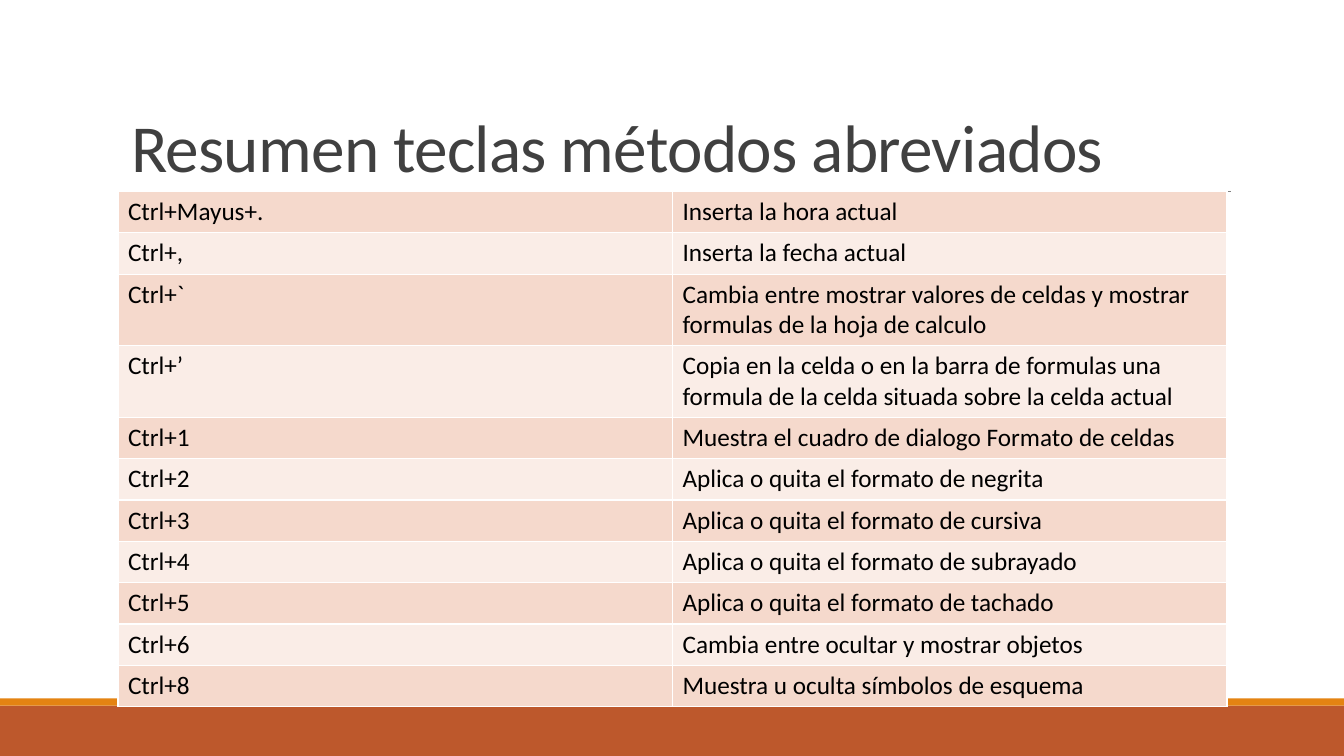
import dataclasses

import pptx
import pptx.dml.color
import pptx.enum.shapes
import pptx.enum.text
import pptx.oxml
import pptx.oxml.ns
import pptx.slide
import pptx.table
import pptx.util
from pptx.util import Inches

COLORS = {
    "footer": "BD582C",
    "accent": "E48312",
    "rule": "808080",
    "title": "404040",
    "text": "000000",
    "odd_row": "F5D9CC",
    "even_row": "FAEDE7",
    "border": "FFFFFF",
}
FONT = "Calibri"
SLIDE_WIDTH = 13.33
ROW_HEIGHT = 0.41
COLUMN_WIDTH = 5.5


@dataclasses.dataclass
class Band:
    top: float
    height: float
    color: str


@dataclasses.dataclass
class Shortcut:
    keys: str
    action: str


BANDS = [Band(7, 0.5, "footer"), Band(6.93, 0.07, "accent")]

SHORTCUTS = [
    Shortcut("Ctrl+Mayus+.", "Inserta la hora actual"),
    Shortcut("Ctrl+,", "Inserta la fecha actual"),
    Shortcut("Ctrl+`", "Cambia entre mostrar valores de celdas y mostrar formulas de la hoja de calculo"),
    Shortcut("Ctrl+’", "Copia en la celda o en la barra de formulas una formula de la celda situada sobre la celda actual"),
    Shortcut("Ctrl+1", "Muestra el cuadro de dialogo Formato de celdas"),
    Shortcut("Ctrl+2", "Aplica o quita el formato de negrita"),
    Shortcut("Ctrl+3", "Aplica o quita el formato de cursiva"),
    Shortcut("Ctrl+4", "Aplica o quita el formato de subrayado"),
    Shortcut("Ctrl+5", "Aplica o quita el formato de tachado"),
    Shortcut("Ctrl+6", "Cambia entre ocultar y mostrar objetos"),
    Shortcut("Ctrl+8", "Muestra u oculta símbolos de esquema"),
]


def rgb(name: str) -> pptx.dml.color.RGBColor:
    return pptx.dml.color.RGBColor.from_string(COLORS[name])


def add_band(slide: pptx.slide.Slide, band: Band) -> None:
    shape = slide.shapes.add_shape(
        pptx.enum.shapes.MSO_SHAPE.RECTANGLE,
        Inches(0), Inches(band.top), Inches(SLIDE_WIDTH), Inches(band.height),
    )
    shape.shadow.inherit = False
    shape.fill.solid()
    shape.fill.fore_color.rgb = rgb(band.color)
    shape.line.fill.background()


def add_title_rule(slide: pptx.slide.Slide) -> None:
    rule = slide.shapes.add_connector(
        pptx.enum.shapes.MSO_CONNECTOR.STRAIGHT,
        Inches(1.31), Inches(1.9), Inches(12.21), Inches(1.9),
    )
    rule.line.color.rgb = rgb("rule")
    rule.line.width = pptx.util.Pt(0.5)
    pptx.oxml.ns.qn("a:effectLst")
    rule._element.spPr.append(
        pptx.oxml.parse_xml(f"<a:effectLst {pptx.oxml.ns.nsdecls('a')}/>")
    )


def format_title(slide: pptx.slide.Slide, text: str) -> None:
    title = slide.shapes.title
    title.left, title.top = Inches(1.2), Inches(0.31)
    title.width, title.height = Inches(11), Inches(1.59)
    frame = title.text_frame
    frame.text = text
    frame.word_wrap = True
    frame.auto_size = pptx.enum.text.MSO_AUTO_SIZE.NONE
    frame.vertical_anchor = pptx.enum.text.MSO_ANCHOR.BOTTOM
    paragraph = frame.paragraphs[0]
    paragraph.alignment = pptx.enum.text.PP_ALIGN.LEFT
    paragraph.line_spacing = 0.85
    paragraph.font.name = FONT
    paragraph.font.size = pptx.util.Pt(48)
    paragraph.font.color.rgb = rgb("title")
    paragraph.runs[0].font._element.set("spc", "-50")


def add_borders(cell: pptx.table._Cell) -> None:
    """Draw a one-point line on all four sides, ahead of the cell's fill."""
    properties = cell._tc.get_or_add_tcPr()
    for index, side in enumerate(("lnL", "lnR", "lnT", "lnB")):
        properties.insert(index, pptx.oxml.parse_xml(
            f'<a:{side} {pptx.oxml.ns.nsdecls("a")} w="12700"><a:solidFill>'
            f'<a:srgbClr val="{COLORS["border"]}"/></a:solidFill></a:{side}>'
        ))


def fill_cell(cell: pptx.table._Cell, text: str, color: str) -> None:
    cell.text = text
    cell.fill.solid()
    cell.fill.fore_color.rgb = rgb(color)
    font = cell.text_frame.paragraphs[0].font
    font.name = FONT
    font.size = pptx.util.Pt(18)
    font.color.rgb = rgb("text")
    add_borders(cell)


def add_shortcut_table(slide: pptx.slide.Slide, shortcuts: list[Shortcut]) -> None:
    table = slide.shapes.add_table(
        len(shortcuts), 2, Inches(1.17), Inches(1.9),
        Inches(2 * COLUMN_WIDTH), Inches(len(shortcuts) * ROW_HEIGHT),
    ).table
    table.first_row = False
    table.horz_banding = False
    for row_index, shortcut in enumerate(shortcuts):
        color = "even_row" if row_index % 2 else "odd_row"
        fill_cell(table.cell(row_index, 0), shortcut.keys, color)
        fill_cell(table.cell(row_index, 1), shortcut.action, color)


def main() -> None:
    presentation = pptx.Presentation()
    presentation.slide_width = Inches(SLIDE_WIDTH)
    presentation.slide_height = Inches(7.5)
    slide = presentation.slides.add_slide(presentation.slide_layouts.get_by_name("Title Only"))
    for band in BANDS:
        add_band(slide, band)
    add_title_rule(slide)
    format_title(slide, "Resumen teclas métodos abreviados")
    add_shortcut_table(slide, SHORTCUTS)
    presentation.save("out.pptx")


if __name__ == "__main__":
    main()
